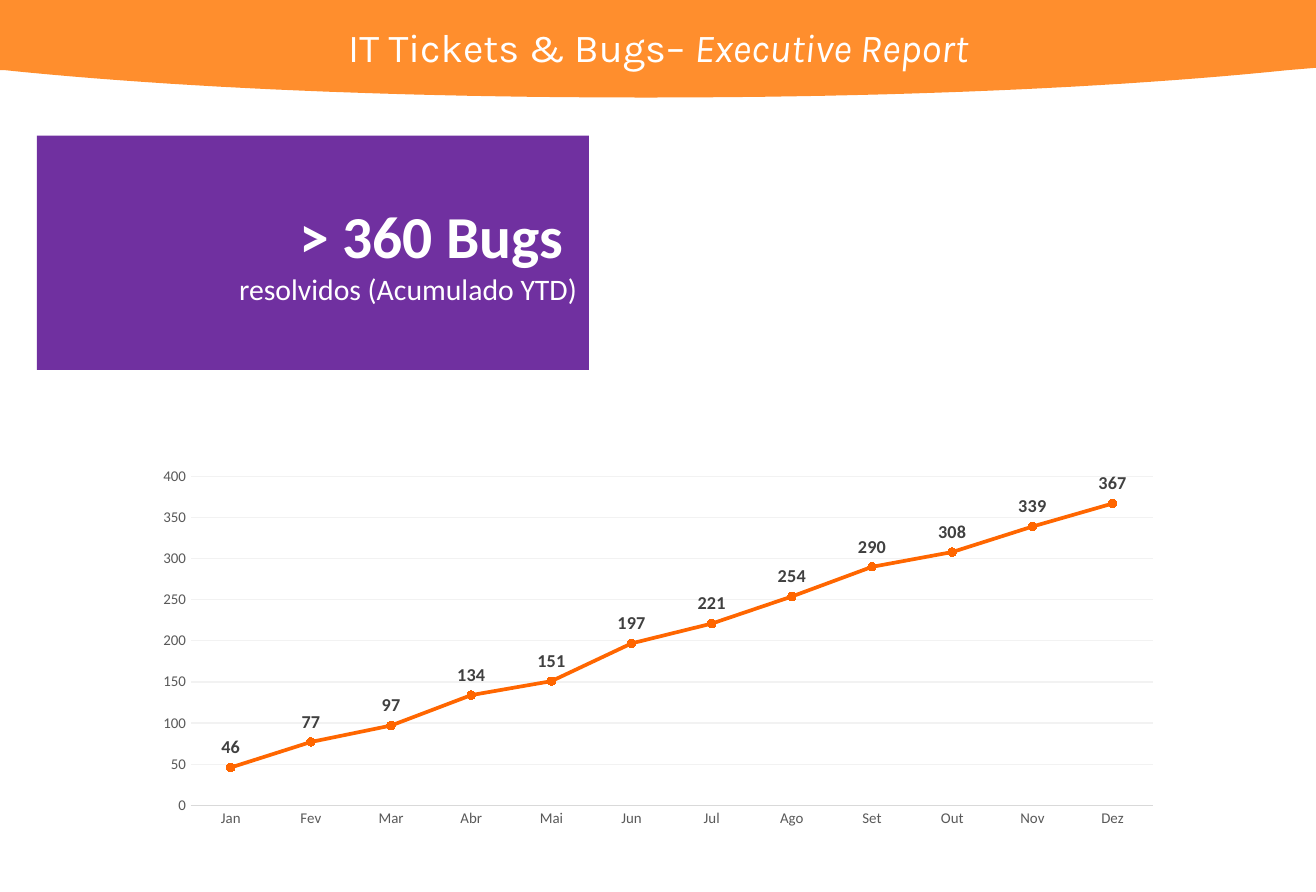
from pptx import Presentation
from pptx.chart.data import CategoryChartData
from pptx.dml.color import RGBColor
from pptx.enum.chart import XL_CHART_TYPE as ChartType, XL_LABEL_POSITION as LabelPosition
from pptx.enum.chart import XL_MARKER_STYLE as MarkerStyle, XL_TICK_MARK as TickMark
from pptx.enum.shapes import MSO_SHAPE as Shape
from pptx.enum.text import MSO_ANCHOR as Anchor, PP_ALIGN as Align
from pptx.util import Pt

ORANGE = RGBColor(0xFF, 0x8E, 0x2D)
PURPLE = RGBColor(0x70, 0x30, 0xA0)
WHITE = RGBColor(0xFF, 0xFF, 0xFF)
LINE_ORANGE = RGBColor(0xFF, 0x66, 0x00)
LABEL_GRAY = RGBColor(0x40, 0x40, 0x40)
AXIS_GRAY = RGBColor(0x59, 0x59, 0x59)
AXIS_LINE = RGBColor(0xD9, 0xD9, 0xD9)
GRID_LINE = RGBColor(0xF2, 0xF2, 0xF2)

WIDTH, HEIGHT = 796.32, 540
CURVE_STEPS = 24
BANNER_CURVES = [
    [(779.04, 42.48), (673.92, 53.28), (538.56, 59.04), (390.96, 59.04)],
    [(390.96, 59.04), (243.36, 59.04), (108, 53.28), (2.88, 42.48)],
]

MONTHS = ["Jan", "Fev", "Mar", "Abr", "Mai", "Jun", "Jul", "Ago", "Set", "Out", "Nov", "Dez"]
RESOLVED_BUGS = [46, 77, 97, 134, 151, 197, 221, 254, 290, 308, 339, 367]


def format_font(font, size, color, name="Calibri", bold=False, italic=False):
    font.size, font.name = Pt(size), name
    font.bold, font.italic = bold, italic
    font.color.rgb = color


def add_span(para, text, **style):
    span = para.add_run()
    span.text = text
    format_font(span.font, **style)


def curve_points(start, first, second, end):
    for step in range(1, CURVE_STEPS + 1):
        t = step / CURVE_STEPS
        weights = ((1 - t) ** 3, 3 * t * (1 - t) ** 2, 3 * t ** 2 * (1 - t), t ** 3)
        corners = (start, first, second, end)
        yield tuple(sum(w * c[axis] for w, c in zip(weights, corners)) for axis in (0, 1))


class ReportSlide:
    """Draws the elements of the report on one slide."""

    def __init__(self, page, font="Calibri", text_color=WHITE):
        self.shapes = page.shapes
        self.style = {"name": font, "color": text_color}

    def fill(self, shape, color):
        shape.shadow.inherit = False
        shape.fill.solid()
        shape.fill.fore_color.rgb = color
        shape.line.fill.background()

    def banner(self, color):
        outline = [(WIDTH, 0), (WIDTH, 41.04), BANNER_CURVES[0][0]]
        for curve in BANNER_CURVES:
            outline.extend(curve_points(*curve))
        outline.append((0, 42.48))
        builder = self.shapes.build_freeform(0, 0, scale=1.0)
        builder.add_line_segments([(Pt(x), Pt(y)) for x, y in outline], close=True)
        self.fill(builder.convert_to_shape(), color)

    def add_lines(self, box, lines, align):
        frame = box.text_frame
        frame.word_wrap = True
        for index, spans in enumerate(lines):
            para = frame.add_paragraph() if index else frame.paragraphs[0]
            para.alignment = align
            for text, style in spans:
                add_span(para, text, **{**self.style, **style})

    def text(self, left, top, width, height, lines, align):
        box = self.shapes.add_textbox(Pt(left), Pt(top), Pt(width), Pt(height))
        self.add_lines(box, lines, align)

    def card(self, left, top, width, height, color, lines, align):
        box = self.shapes.add_shape(Shape.RECTANGLE, Pt(left), Pt(top), Pt(width), Pt(height))
        self.fill(box, color)
        box.text_frame.vertical_anchor = Anchor.MIDDLE
        self.add_lines(box, lines, align)

    def line_chart(self, left, top, width, height, categories, values, color):
        data = CategoryChartData()
        data.categories = categories
        data.add_series("Series 1", values)
        chart = self.shapes.add_chart(
            ChartType.LINE_MARKERS, Pt(left), Pt(top), Pt(width), Pt(height), data
        ).chart
        chart.has_legend = chart.has_title = False
        format_font(chart.font, 10, AXIS_GRAY)
        for axis in (chart.category_axis, chart.value_axis):
            axis.major_tick_mark = axis.minor_tick_mark = TickMark.NONE
            format_font(axis.tick_labels.font, 9, AXIS_GRAY)
        self.outline(chart.category_axis.format.line, AXIS_LINE, 0.75)
        value_axis = chart.value_axis
        value_axis.minimum_scale, value_axis.maximum_scale = 0, 400
        value_axis.major_unit = 50
        value_axis.format.line.fill.background()
        self.outline(value_axis.major_gridlines.format.line, GRID_LINE, 0.75)
        plot = chart.plots[0]
        plot.vary_by_categories = False
        self.series(plot.series[0], color)

    def series(self, series, color):
        series.smooth = False
        self.outline(series.format.line, color, 2.25)
        marker = series.marker
        marker.style, marker.size = MarkerStyle.CIRCLE, 5
        marker.format.fill.solid()
        marker.format.fill.fore_color.rgb = color
        self.outline(marker.format.line, color, 0.75)
        labels = series.data_labels
        labels.show_value = True
        labels.position = LabelPosition.ABOVE
        format_font(labels.font, 11, LABEL_GRAY, bold=True)

    def outline(self, line, color, width):
        line.color.rgb = color
        line.width = Pt(width)


def main():
    deck = Presentation()
    deck.slide_width, deck.slide_height = Pt(WIDTH), Pt(HEIGHT)
    report = ReportSlide(deck.slides.add_slide(deck.slide_layouts[6]))
    title = {"size": 24, "name": "Karla"}
    report.banner(ORANGE)
    report.text(67.68, 10.08, 660.96, 36, [[
        ("IT Tickets & Bugs– ", title),
        ("Executive Report", {**title, "italic": True}),
    ]], Align.CENTER)
    report.card(22.32, 82.08, 334.08, 141.84, PURPLE, [
        [("> 360 Bugs ", {"size": 36, "bold": True})],
        [("resolvidos (Acumulado YTD)", {"size": 18})],
    ], Align.RIGHT)
    report.line_chart(86.4, 278.64, 623.52, 226.8, MONTHS, RESOLVED_BUGS, LINE_ORANGE)
    deck.save("out.pptx")


if __name__ == "__main__":
    main()
